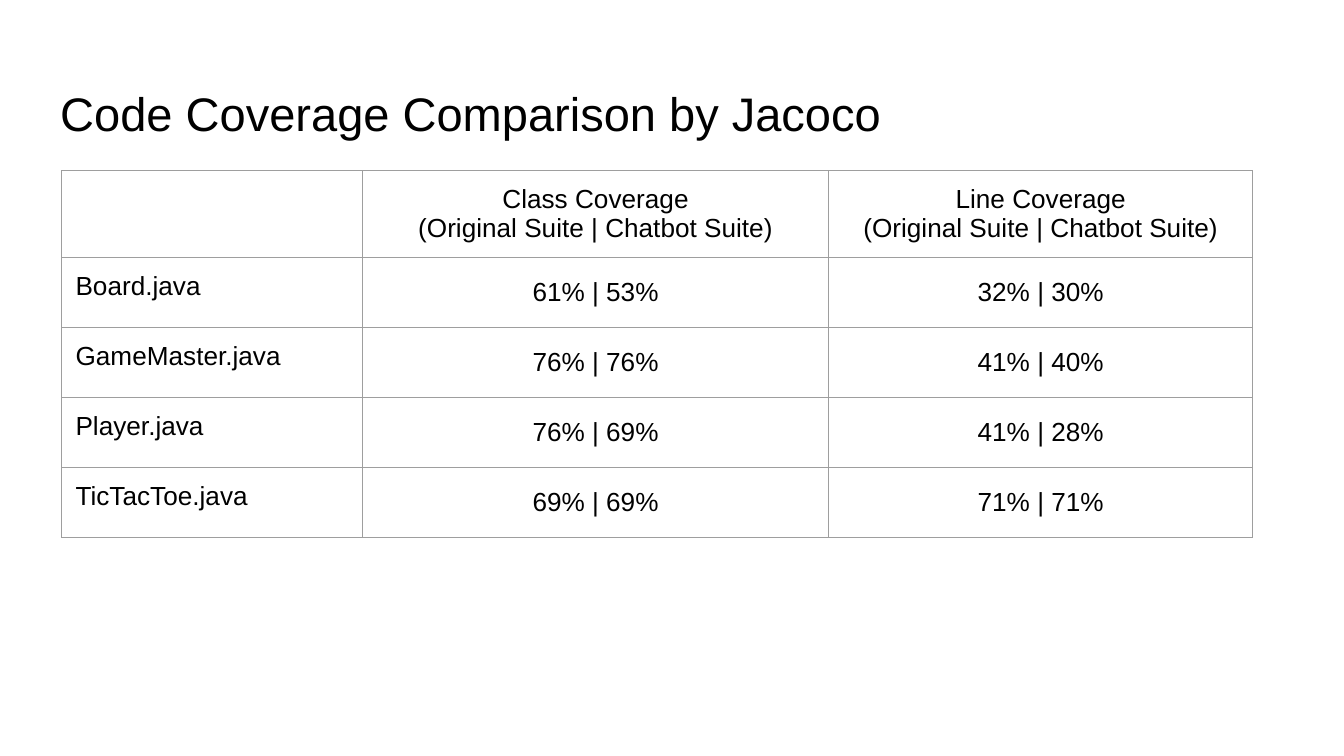
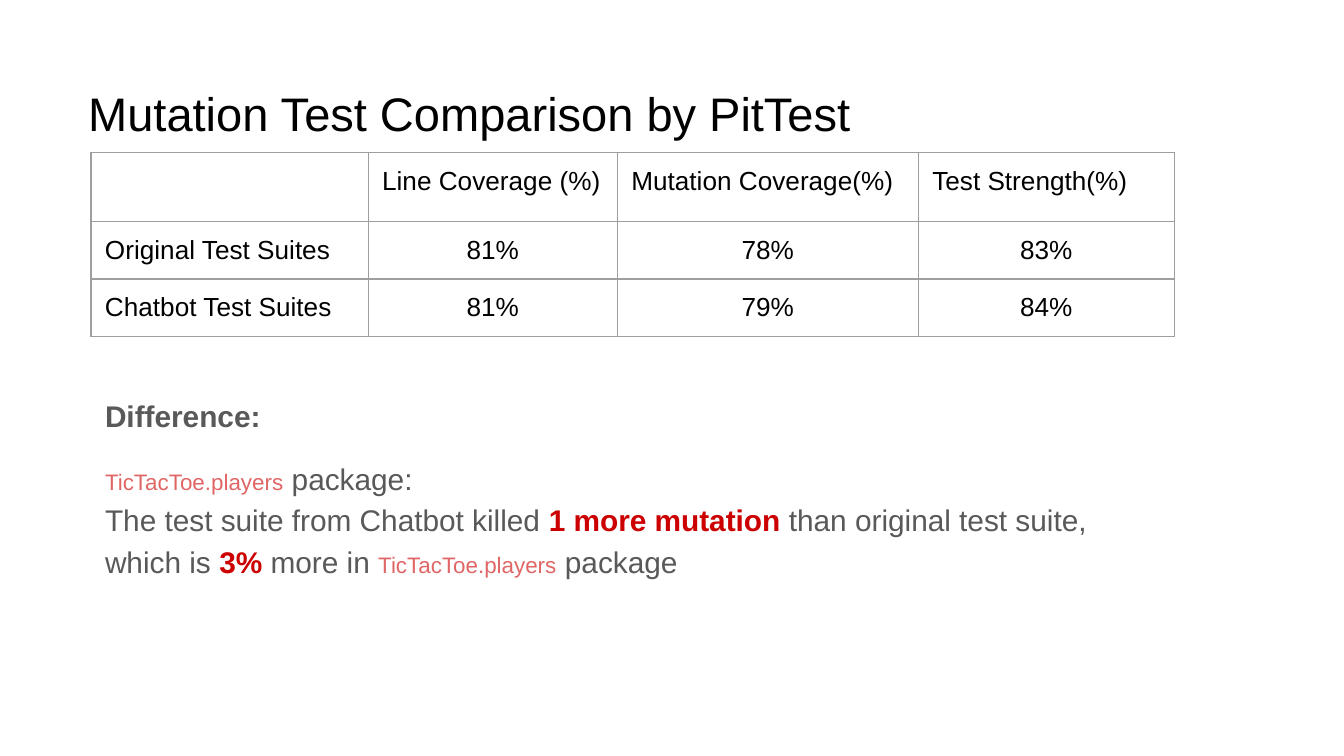
from lxml import etree
from pptx import Presentation
from pptx.dml.color import RGBColor
from pptx.enum import text
from pptx.oxml import ns

PX = 9525  # EMU in one px, 96 px to the inch
POINT = 12700
INSET = 10 * PX
FONT = "Arial"
COLORS = {
    "ink": "000000",
    "body": "595959",
    "code": "E06666",
    "accent": "CC0000",
    "grid": "9E9E9E",
}


def style_font(font, size, color, bold=False):
    font.name = FONT
    font.size = int(size * POINT)
    font.bold = bold
    font.color.rgb = RGBColor.from_string(COLORS[color])


def frame_text(shape, left, top, width, height, inset_top=INSET):
    """Place a placeholder and give its text frame the shared layout."""
    shape.left, shape.top, shape.width, shape.height = (
        length * PX for length in (left, top, width, height))
    frame = shape.text_frame
    frame.auto_size = text.MSO_AUTO_SIZE.NONE
    frame.word_wrap = True
    frame.vertical_anchor = text.MSO_ANCHOR.TOP
    frame.margin_left = frame.margin_right = frame.margin_bottom = INSET
    frame.margin_top = inset_top
    return frame


slides = [
    {
        "layout": 5,
        "title": "Code Coverage Comparison by Jacoco",
        "title_box": (33, 47, 895, 60),
        "table_at": (44, 122),
        "columns": [215, 333, 303],
        "rows": [61, 50, 50, 50, 50],
        "header_align": text.PP_ALIGN.CENTER,
        "value_anchor": text.MSO_ANCHOR.MIDDLE,
        "cells": [
            ["", "Class Coverage\v(Original Suite | Chatbot Suite)",
             "Line Coverage\v(Original Suite | Chatbot Suite)"],
            ["Board.java", "61% | 53%", "32% | 30%"],
            ["GameMaster.java", "76% | 76%", "41% | 40%"],
            ["Player.java", "76% | 69%", "41% | 28%"],
            ["TicTacToe.java", "69% | 69%", "71% | 71%"],
        ],
    },
    {
        "layout": 1,
        "title": "Mutation Test Comparison by PitTest",
        "title_box": (53, 47, 885, 57),
        "table_at": (65, 109),
        "columns": [198, 178, 215, 183],
        "rows": [46, 40, 40],
        "header_align": text.PP_ALIGN.LEFT,
        "value_anchor": text.MSO_ANCHOR.TOP,
        "cells": [
            ["", "Line Coverage (%)", "Mutation Coverage(%)", "Test Strength(%)"],
            ["Original Test Suites", "81%", "78%", "83%"],
            ["Chatbot Test Suites", "81%", "79%", "84%"],
        ],
    },
]

deck = Presentation()
deck.slide_width, deck.slide_height = 960 * PX, 540 * PX

for content in slides:
    page = deck.slides.add_slide(deck.slide_layouts[content["layout"]])
    title = frame_text(page.shapes.title, *content["title_box"], inset_top=13 * PX)
    title.text = content["title"]
    para = title.paragraphs[0]
    para.alignment = text.PP_ALIGN.LEFT
    style_font(para.font, 25.2, "ink")

    columns, rows = content["columns"], content["rows"]
    left, top = content["table_at"]
    table = page.shapes.add_table(
        len(rows), len(columns), left * PX, top * PX,
        sum(columns) * PX, sum(rows) * PX).table
    table.first_row = table.horz_banding = False
    for column, width in zip(table.columns, columns):
        column.width = width * PX
    for row, height in zip(table.rows, rows):
        row.height = height * PX

    for r, line in enumerate(content["cells"]):
        for c, words in enumerate(line):
            cell = table.cell(r, c)
            cell.fill.background()
            cell.margin_left = cell.margin_right = INSET
            cell.margin_top = cell.margin_bottom = INSET
            properties = cell._tc.get_or_add_tcPr()
            for position, side in enumerate(("lnL", "lnR", "lnT", "lnB")):
                border = etree.Element(ns.qn(f"a:{side}"), w=str(PX))
                fill = etree.SubElement(border, ns.qn("a:solidFill"))
                etree.SubElement(fill, ns.qn("a:srgbClr"), val=COLORS["grid"])
                properties.insert(position, border)
            if not words:
                continue
            cell.text = words
            para = cell.text_frame.paragraphs[0]
            style_font(para.font, 14, "ink")
            if r == 0:
                para.alignment = content["header_align"]
            elif c > 0:
                para.alignment = text.PP_ALIGN.CENTER
                cell.vertical_anchor = content["value_anchor"]

# The second page also explains the difference; None marks a line break
plain, code, accent = (16, "body"), (12, "code"), (16, "accent", True)
difference = [
    (0, [("Difference:", (16, "body", True))]),
    (12, [
        ("TicTacToe.players", code),
        (" package:", plain),
        None,
        ("The test suite from Chatbot killed ", plain),
        ("1 more mutation", accent),
        (" than original test suite, which is ", plain),
        ("3%", accent),
        (" more in ", plain),
        ("TicTacToe.players", code),
        (" package", plain),
    ]),
]
body = frame_text(page.placeholders[1], 65, 270, 774, 160)
for number, (gap, spans) in enumerate(difference):
    para = body.add_paragraph() if number else body.paragraphs[0]
    para.line_spacing = 1.15
    para.space_before = para.space_after = gap * POINT
    properties = para._p.get_or_add_pPr()
    properties.set("marL", "0")
    properties.set("indent", "0")
    etree.SubElement(properties, ns.qn("a:buNone"))
    for item in spans:
        if item is None:
            para.add_line_break()
            continue
        span = para.add_run()
        span.text, style = item
        style_font(span.font, *style)

deck.save("out.pptx")
